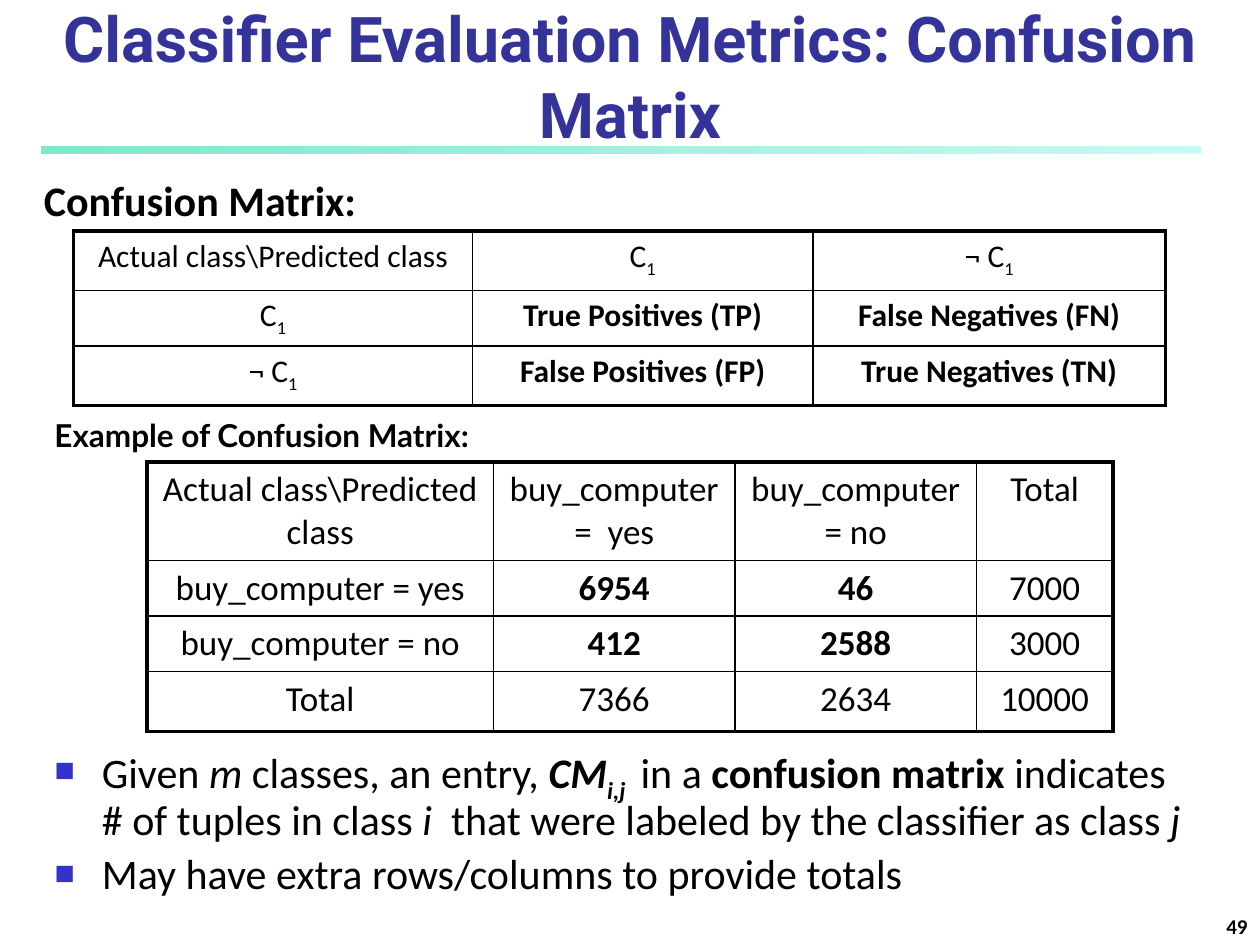
from lxml.etree import SubElement
from pptx import Presentation
from pptx.dml.color import RGBColor
from pptx.enum.shapes import MSO_SHAPE
from pptx.enum.text import MSO_ANCHOR, MSO_AUTO_SIZE, PP_ALIGN
from pptx.oxml import parse_xml
from pptx.oxml.ns import nsdecls, qn
from pptx.util import Pt

BLACK = RGBColor(0x00, 0x00, 0x00)
INDIGO = RGBColor(0x33, 0x33, 0x99)
BULLET_BLUE = RGBColor(0x33, 0x33, 0xCC)
TEAL = RGBColor(0x00, 0xCE, 0x98)
AQUA = RGBColor(0x8F, 0xF9, 0xEF)

CLASS_1 = [("C", ""), ("1", "s")]
NOT_CLASS_1 = [("¬ C", ""), ("1", "s")]
CORNER = "Actual class\\Predicted class"


def bold(text):
    return [(text, "b")]


DEFINITION = [
    [CORNER, CLASS_1, NOT_CLASS_1],
    [CLASS_1, bold("True Positives (TP)"), bold("False Negatives (FN)")],
    [NOT_CLASS_1, bold("False Positives (FP)"), bold("True Negatives (TN)")],
]
EXAMPLE = [
    [CORNER, "buy_computer =  yes", "buy_computer = no", "Total"],
    ["buy_computer = yes", bold("6954"), bold("46"), "7000"],
    ["buy_computer = no", bold("412"), bold("2588"), "3000"],
    ["Total", "7366", "2634", "10000"],
]
NOTES = [
    [("Given", ""), (" m", "i"), (" classes, an entry, ", ""), ("CM", "bi"),
     ("i,j ", "bis"), (" in a ", ""), ("confusion matrix", "b"),
     (" indicates # of tuples in class ", ""), ("i", "i"),
     ("  that were labeled by the classifier as class ", ""), ("j", "i")],
    "May have extra rows/columns to provide totals",
]


def write(para, text, size, font="Calibri", color=BLACK, align=PP_ALIGN.LEFT):
    para.alignment = align
    for words, style in [(text, "")] if isinstance(text, str) else text:
        span = para.add_run()
        span.text = words
        span.font.size = Pt(size)
        span.font.name = font
        span.font.color.rgb = color
        span.font.bold = "b" in style
        span.font.italic = "i" in style
        if "s" in style:
            span.font._element.set("baseline", "-25000")


def place(shape, left, top, width, height):
    shape.left, shape.top = Pt(left), Pt(top)
    shape.width, shape.height = Pt(width), Pt(height)


def add_title(page, text):
    title = page.shapes.title
    place(title, 0, 0, 720, 90)
    frame = title.text_frame
    frame.auto_size = MSO_AUTO_SIZE.NONE
    frame.vertical_anchor = MSO_ANCHOR.BOTTOM
    write(frame.paragraphs[0], bold(text), 36, font="Roboto", color=INDIGO,
          align=PP_ALIGN.CENTER)


def add_rule(page):
    rule = page.shapes.add_shape(MSO_SHAPE.RECTANGLE, Pt(24), Pt(84), Pt(662), Pt(4))
    rule.shadow.inherit = False
    rule.line.fill.background()
    rule.fill.gradient()
    rule.fill.gradient_angle = 0
    stops = rule.fill.gradient_stops
    for stop, position, color, opacity in zip(stops, (0, 1), (TEAL, AQUA), (50, 52)):
        stop.position = position
        stop.color.rgb = color
        tint = stop._gs.find(qn("a:srgbClr"))
        SubElement(tint, qn("a:alpha")).set("val", str(opacity * 1000))


def add_label(page, text, left, top, width, height, size,
              font="Calibri", align=PP_ALIGN.LEFT, anchor=MSO_ANCHOR.TOP):
    box = page.shapes.add_textbox(Pt(left), Pt(top), Pt(width), Pt(height))
    frame = box.text_frame
    frame.word_wrap = True
    frame.vertical_anchor = anchor
    write(frame.paragraphs[0], bold(text), size, font=font, align=align)


def set_borders(cell, outer_sides):
    properties = cell._tc.get_or_add_tcPr()
    for index, side in enumerate("LRTB"):
        width = Pt(2.25 if side in outer_sides else 1)
        properties.insert(index, parse_xml(
            f'<a:ln{side} {nsdecls("a")} w="{width}"><a:solidFill>'
            f'<a:srgbClr val="{BLACK}"/></a:solidFill></a:ln{side}>'))


def add_matrix(page, rows, left, top, widths, heights, size):
    frame = page.shapes.add_table(len(heights), len(widths), Pt(left), Pt(top),
                                  Pt(sum(widths)), Pt(sum(heights)))
    table = frame.table
    table.first_row = table.horz_banding = False
    for column, width in zip(table.columns, widths):
        column.width = Pt(width)
    for row, height in zip(table.rows, heights):
        row.height = Pt(height)
    last_row, last_column = len(heights) - 1, len(widths) - 1
    for r, row in enumerate(rows):
        for c, text in enumerate(row):
            cell = table.cell(r, c)
            cell.fill.background()
            edges = {"L": c == 0, "R": c == last_column, "T": r == 0, "B": r == last_row}
            set_borders(cell, [side for side, outer in edges.items() if outer])
            write(cell.text_frame.paragraphs[0], text, size, align=PP_ALIGN.CENTER)


def add_bullets(page, items):
    body = page.placeholders[1]
    place(body, 24, 423.5, 666, 99)
    frame = body.text_frame
    frame.auto_size = MSO_AUTO_SIZE.NONE
    for index, item in enumerate(items):
        para = frame.add_paragraph() if index else frame.paragraphs[0]
        para.line_spacing = 0.9
        para.space_before = Pt(4.8 if index else 0)
        write(para, item, 24)
        properties = para._p.get_or_add_pPr()
        properties.set("marL", str(Pt(27)))
        properties.set("indent", str(-Pt(27)))
        color = SubElement(properties, qn("a:buClr"))
        SubElement(color, qn("a:srgbClr")).set("val", str(BULLET_BLUE))
        SubElement(properties, qn("a:buSzPct")).set("val", "80000")
        SubElement(properties, qn("a:buFont")).set("typeface", "Arial")
        SubElement(properties, qn("a:buChar")).set("char", "■")


def main():
    deck = Presentation()
    deck.slide_width, deck.slide_height = Pt(720), Pt(540)
    page = deck.slides.add_slide(deck.slide_layouts[1])
    add_rule(page)
    add_title(page, "Classifier Evaluation Metrics: Confusion Matrix")
    add_matrix(page, EXAMPLE, 84, 264, [198, 138, 138, 78], [55.5, 31, 31, 34.5], 20)
    add_bullets(page, NOTES)
    add_label(page, "Confusion Matrix:", 18, 96, 205, 36, 24)
    add_matrix(page, DEFINITION, 42, 132, [228, 194.5, 201.5], [34, 30.5, 34], 18)
    add_label(page, "Example of Confusion Matrix:", 24, 234, 281, 29, 18, font="Lato")
    add_label(page, "49", 570, 510, 150, 30, 12,
              align=PP_ALIGN.RIGHT, anchor=MSO_ANCHOR.BOTTOM)
    deck.save("out.pptx")


if __name__ == "__main__":
    main()
